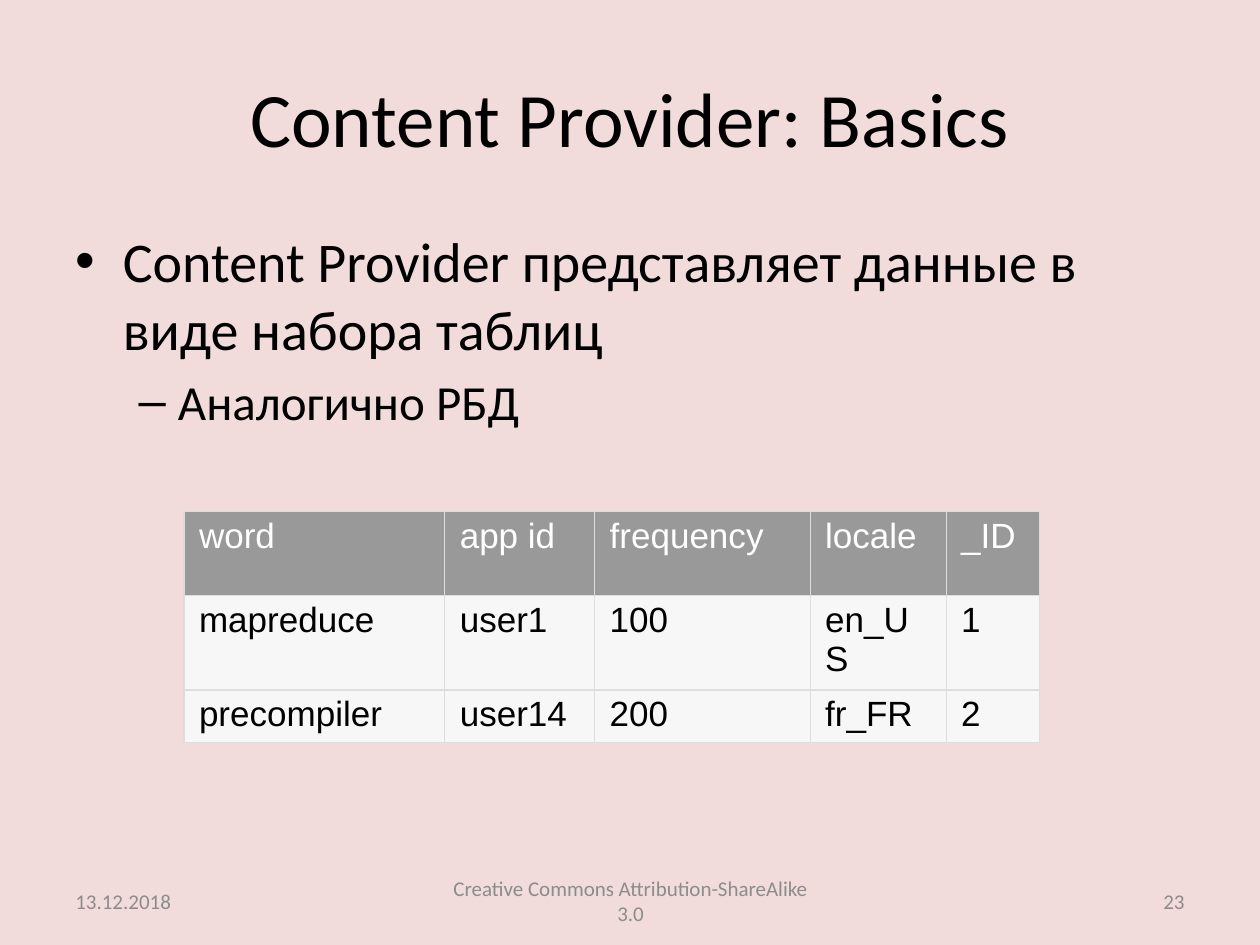
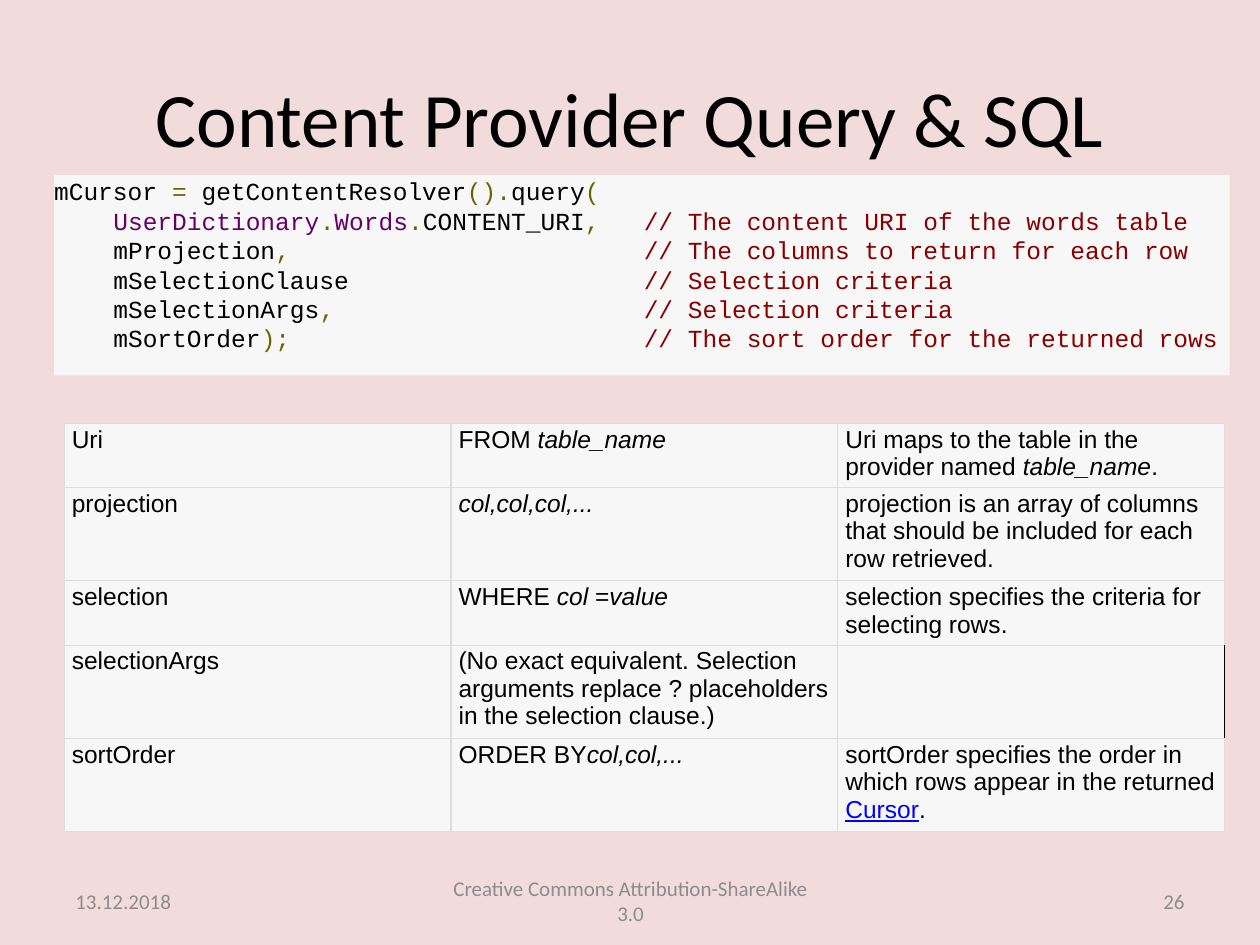
import pptx
import pptx.dml.color
import pptx.enum.shapes
import pptx.enum.text
import pptx.oxml
import pptx.oxml.ns
import pptx.util
from lxml import etree

Inches = pptx.util.Inches
Pt = pptx.util.Pt
ALIGN = pptx.enum.text.PP_ALIGN
MIDDLE = pptx.enum.text.MSO_ANCHOR.MIDDLE

# Shared palette and fonts
PINK, PALE, GREY, BORDER = "F2DCDB", "F7F7F7", "999999", "DDDDDD"
BLACK, WHITE, MUTED, BLUE = "000000", "FFFFFF", "8C8C8C", "0000FF"
CODE, PUNCT, TYPE, COMMENT = BLACK, "666600", "660066", "880000"
HEAD_FONT, TABLE_FONT, CODE_FONT = "Calibri", "Arial", "Courier New"
ITALIC = {"italic": True}


def rgb(color):
    return pptx.dml.color.RGBColor.from_string(color)


def fill_with(target, color):
    target.fill.solid()
    target.fill.fore_color.rgb = rgb(color)


def write(p, text, font=HEAD_FONT, size=12, color=BLACK, italic=False,
          underline=False):
    r = p.add_run()
    r.text = text
    r.font.name = font
    r.font.size = Pt(size)
    r.font.color.rgb = rgb(color)
    r.font.italic = italic
    r.font.underline = underline


def sub(parent, tag, **attributes):
    return etree.SubElement(parent, pptx.oxml.ns.qn(tag), **attributes)


def set_margins(target, left, top, right, bottom):
    target.margin_left, target.margin_top = Inches(left), Inches(top)
    target.margin_right, target.margin_bottom = Inches(right), Inches(bottom)


def place(sp, left, top, width, height):
    sp.left, sp.top = Inches(left), Inches(top)
    sp.width, sp.height = Inches(width), Inches(height)


def add_footer(slide, number):
    parts = [(0.5, 2.33, "13.12.2018", ALIGN.LEFT),
             (3.42, 3.17, "Creative Commons Attribution-ShareAlike 3.0", ALIGN.CENTER),
             (7.17, 2.33, str(number), ALIGN.RIGHT)]
    for left, width, text, align in parts:
        sp = slide.shapes.add_textbox(Inches(left), Inches(6.95), Inches(width), Inches(0.4))
        tf = sp.text_frame
        tf.word_wrap = True
        tf.vertical_anchor = MIDDLE
        tf.paragraphs[0].alignment = align
        write(tf.paragraphs[0], text, color=MUTED)


def add_slide(prs, layout, title, number):
    slide = prs.slides.add_slide(prs.slide_layouts[layout])
    sp = slide.shapes.title
    place(sp, 0.5, 0.3, 9, 1.25)
    sp.text_frame.vertical_anchor = MIDDLE
    p = sp.text_frame.paragraphs[0]
    p.alignment = ALIGN.CENTER
    write(p, title, size=44)
    add_footer(slide, number)
    return slide


def add_bullets(slide, items):
    sp = slide.placeholders[1]
    place(sp, 0.5, 1.75, 9, 4.95)
    tf = sp.text_frame
    for i, (level, text) in enumerate(items):
        p = tf.add_paragraph() if i else tf.paragraphs[0]
        p.level = level
        write(p, text, size=32 - 4 * level)


def set_borders(cell, **special):
    """Draw the four sides; special maps a side to another (color, points)."""
    tc_pr = cell._tc.get_or_add_tcPr()
    for i, side in enumerate("LRTB"):
        color, points = special.get(side, (BORDER, 0.75))
        ln = etree.Element(pptx.oxml.ns.qn("a:ln" + side), w=str(Pt(points)))
        sub(sub(ln, "a:solidFill"), "a:srgbClr", val=color)
        tc_pr.insert(i, ln)


def add_table(slide, left, top, widths, heights, rows, size, margins, header=False):
    """Each cell is a string or a list of (text, format) runs."""
    frame = slide.shapes.add_table(
        len(rows), len(widths), Inches(left), Inches(top),
        Inches(sum(widths)), Inches(sum(heights)))
    table = frame.table
    table.first_row = table.horz_banding = False
    for column, width in zip(table.columns, widths):
        column.width = Inches(width)
    for i, (row, height) in enumerate(zip(rows, heights)):
        table.rows[i].height = Inches(height)
        is_header = header and i == 0
        for j, content in enumerate(row):
            cell = table.cell(i, j)
            fill_with(cell, GREY if is_header else PALE)
            set_margins(cell, *margins)
            set_borders(cell)
            runs = [(content, {})] if isinstance(content, str) else content
            for text, style in runs:
                base = {"font": TABLE_FONT, "size": size,
                        "color": WHITE if is_header else BLACK}
                write(cell.text_frame.paragraphs[0], text, **{**base, **style})
    return table


def add_code(slide, lines):
    sp = slide.shapes.add_shape(
        pptx.enum.shapes.MSO_SHAPE.RECTANGLE,
        Inches(0.43), Inches(1.39), Inches(9.33), Inches(1.59))
    sp.shadow.inherit = False
    fill_with(sp, PALE)
    sp.line.fill.background()
    tf = sp.text_frame
    tf.word_wrap = True
    tf.vertical_anchor = MIDDLE
    set_margins(tf, 0, 0, 0, 0.17)
    p = tf.paragraphs[0]
    p.alignment = ALIGN.LEFT
    p.line_spacing = Pt(16.8)
    # Tab stops for the argument and comment columns
    tabs = sub(p._p.get_or_add_pPr(), "a:tabLst")
    for stop in (0.47, 4.68):
        sub(tabs, "a:tab", pos=str(Inches(stop)), algn="l")
    for i, line in enumerate(lines):
        if i:
            p.add_line_break()
        for text, color in line:
            write(p, text, font=CODE_FONT, size=14, color=color)


def argument(name, mark, comment):
    return [("\t" + name, CODE), (mark + "\t", PUNCT), ("// " + comment, COMMENT)]


def basics_slide(prs):
    slide = add_slide(prs, 1, "Content Provider: Basics", 23)
    add_bullets(slide, [
        (0, "Content Provider представляет данные в виде набора таблиц"),
        (1, "Аналогично РБД")])
    rows = [["word", "app id", "frequency", "locale", "_ID"],
            ["mapreduce", "user1", "100", "en_US", "1"],
            ["precompiler", "user14", "200", "fr_FR", "2"]]
    add_table(slide, 1.46, 4.06, [2.07, 1.19, 1.71, 1.08, 0.74], [0.67, 0.7, 0.39],
              rows, 20, (0.12, 0.04, 0.12, 0.04), header=True)


def query_slide(prs):
    slide = add_slide(prs, 5, "Content Provider Query & SQL", 26)
    add_code(slide, [
        [("mCursor ", CODE), ("= ", PUNCT), ("getContentResolver", CODE),
         ("().", PUNCT), ("query", CODE), ("(", PUNCT)],
        [("\tUserDictionary", TYPE), (".", PUNCT), ("Words", TYPE), (".", PUNCT),
         ("CONTENT_URI", CODE), (",\t", PUNCT),
         ("// The content URI of the words table", COMMENT)],
        argument("mProjection", ",", "The columns to return for each row"),
        argument("mSelectionClause", "", "Selection criteria"),
        argument("mSelectionArgs", ",", "Selection criteria"),
        argument("mSortOrder", ");", "The sort order for the returned rows")])
    rows = [
        ["Uri",
         [("FROM ", {}), ("table_name", ITALIC)],
         [("Uri maps to the table in the provider named ", {}),
          ("table_name", ITALIC), (".", {})]],
        ["projection",
         [("col,col,col,...", ITALIC)],
         "projection is an array of columns that should be included for each row retrieved."],
        ["selection",
         [("WHERE ", {}), ("col", ITALIC), (" =", {}), ("value", ITALIC)],
         "selection specifies the criteria for selecting rows."],
        ["selectionArgs",
         "(No exact equivalent. Selection arguments replace ? placeholders "
         "in the selection clause.)",
         []],
        ["sortOrder",
         [("ORDER BY", {}), ("col,col,...", ITALIC)],
         [("sortOrder specifies the order in which rows appear in the returned ", {}),
          ("Cursor", {"color": BLUE, "underline": True}), (".", {})]]]
    two_lines, three_lines = 0.51, 0.74
    heights = [two_lines, three_lines, two_lines, three_lines, three_lines]
    table = add_table(slide, 0.51, 3.36, [3.07] * 3, heights, rows, 14,
                      (0.06, 0.02, 0.06, 0.02))
    # The empty cell closes with a black right edge
    empty = table.cell(3, 2)
    tc_pr = empty._tc.get_or_add_tcPr()
    for ln in list(tc_pr)[:4]:
        tc_pr.remove(ln)
    set_borders(empty, R=(BLACK, 1))


def main():
    prs = pptx.Presentation()
    prs.slide_width, prs.slide_height = Inches(10), Inches(7.5)
    fill_with(prs.slide_master.background, PINK)
    basics_slide(prs)
    query_slide(prs)
    prs.save("out.pptx")


if __name__ == "__main__":
    main()
